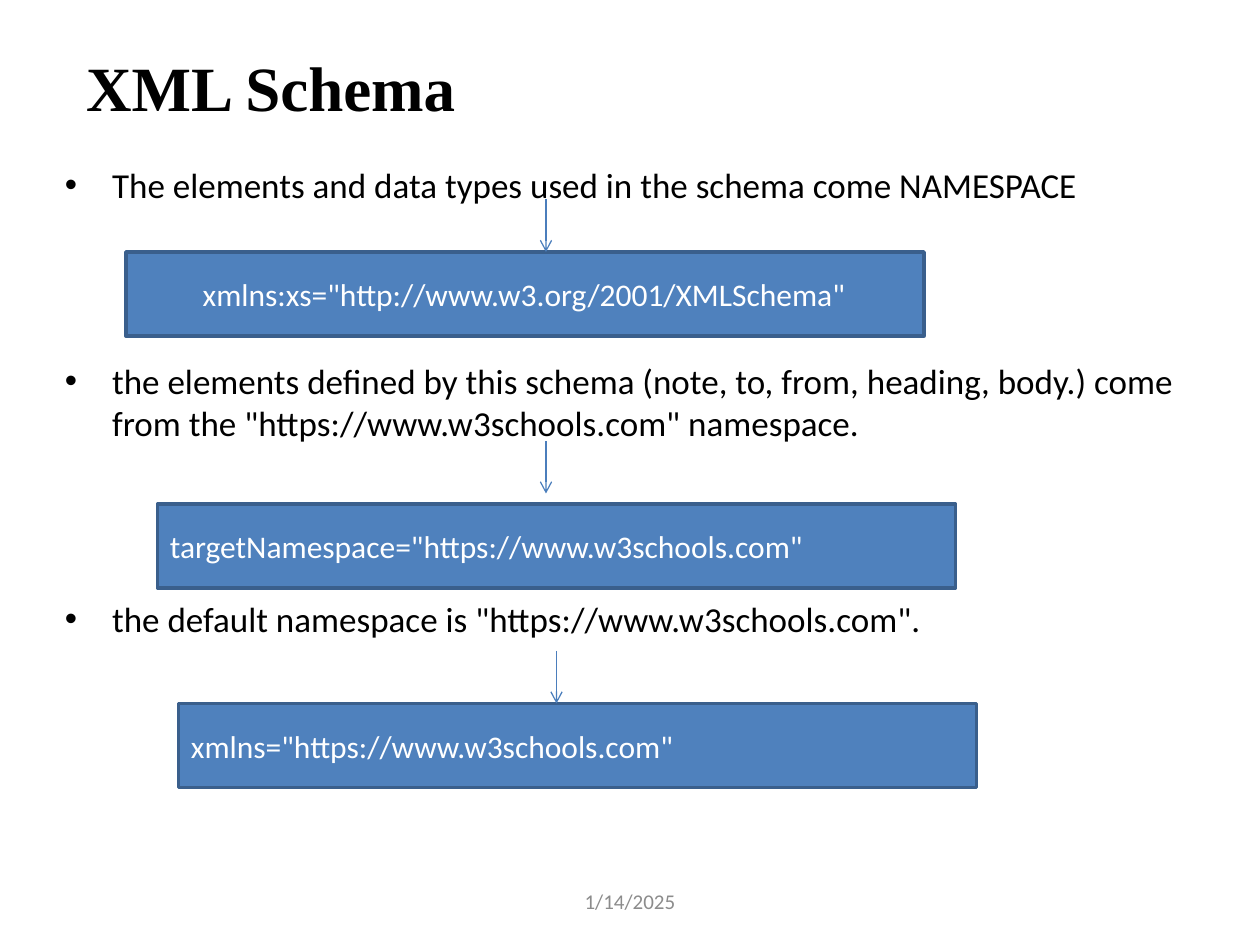
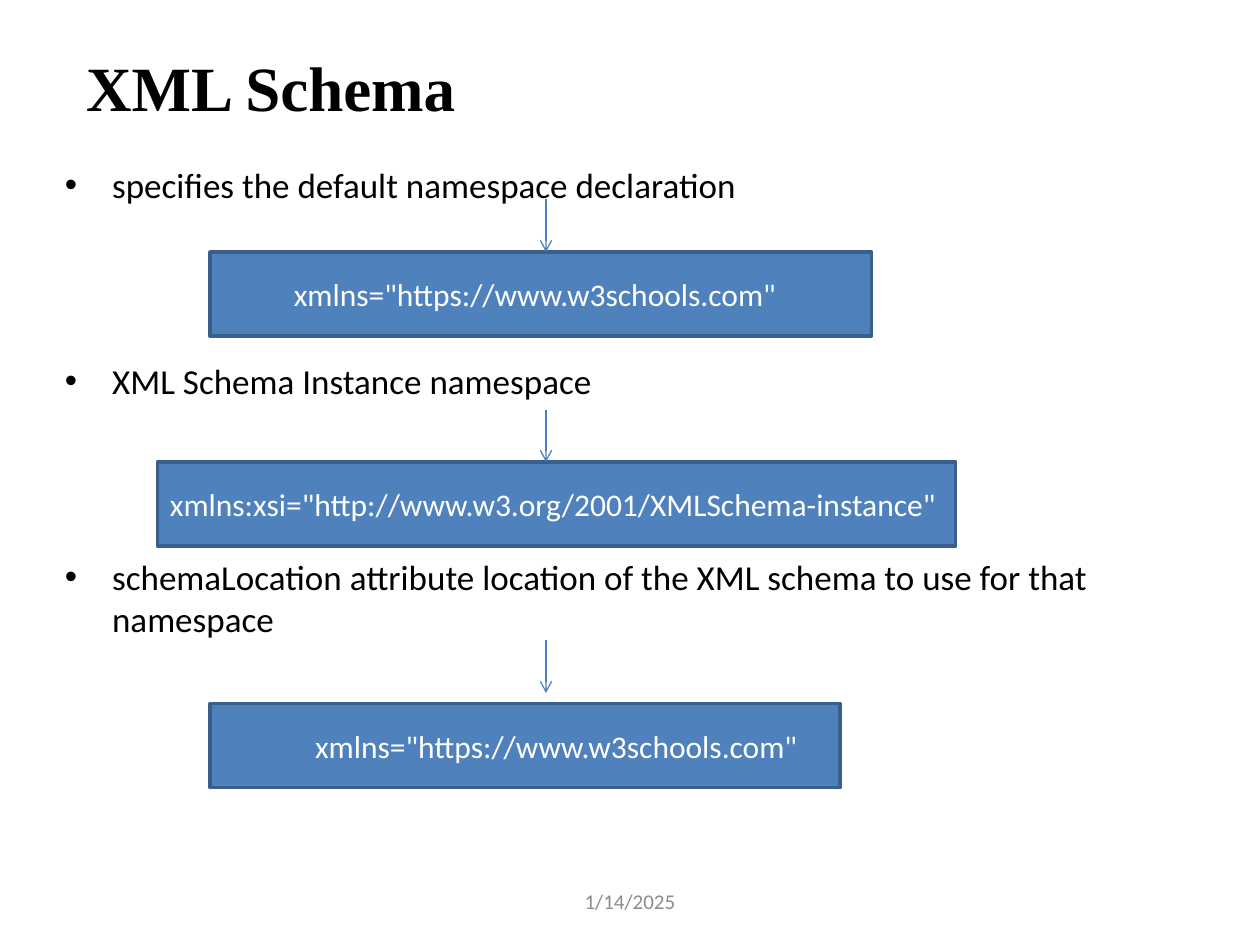
from lxml import etree
from pptx import Presentation
from pptx.dml.color import RGBColor
from pptx.enum.shapes import MSO_CONNECTOR, MSO_SHAPE
from pptx.enum.text import MSO_ANCHOR, MSO_AUTO_SIZE, PP_ALIGN
from pptx.oxml.ns import qn
from pptx.util import Pt

LEFT, CENTER = PP_ALIGN.LEFT, PP_ALIGN.CENTER
TOP, MIDDLE = MSO_ANCHOR.TOP, MSO_ANCHOR.MIDDLE
RECTANGLE, STRAIGHT = MSO_SHAPE.RECTANGLE, MSO_CONNECTOR.STRAIGHT
FIXED = MSO_AUTO_SIZE.NONE
TITLE_ONLY = 5

COLORS = {
    "text": "000000",
    "date": "8C8C8C",
    "code": "FFFFFF",
    "box": "4F81BD",
    "border": "3A5F8C",
    "arrow": "4B7EBC",
}
BODY_FONT, TITLE_FONT = "Calibri", "Times New Roman"
BULLET_INDENT = 27
POINT_GAP = 88
BOX_HEIGHT = 48
ARROW_LENGTH = 30
INSET = 7.2


def color(name):
    return RGBColor.from_string(COLORS[name])


def write(frame, *texts, size=20, font=BODY_FONT, ink="text", bold=False,
          align=LEFT, anchor=TOP, wrap=True, bullet=False, gap=0):
    frame.auto_size = FIXED
    frame.word_wrap = wrap
    frame.vertical_anchor = anchor
    for index, text in enumerate(texts):
        paragraph = frame.add_paragraph() if index else frame.paragraphs[0]
        paragraph.text = text
        if bullet:
            properties = paragraph._p.get_or_add_pPr()
            properties.set("marL", str(Pt(BULLET_INDENT)))
            properties.set("indent", str(-Pt(BULLET_INDENT)))
            etree.SubElement(properties, qn("a:buFont"), typeface="Arial")
            etree.SubElement(properties, qn("a:buChar"), char="•")
        paragraph.alignment = align
        paragraph.space_before = Pt(gap if index else 0)
        paragraph.font.size = Pt(size)
        paragraph.font.name = font
        paragraph.font.bold = bold
        paragraph.font.color.rgb = color(ink)


class Deck:
    def __init__(self):
        self.presentation = Presentation()
        self.presentation.slide_width = Pt(720)
        self.presentation.slide_height = Pt(540)
        self.slide = None

    def start(self, heading, date):
        layout = self.presentation.slide_layouts[TITLE_ONLY]
        self.slide = self.presentation.slides.add_slide(layout)
        title = self.slide.shapes.title
        title.left, title.top = Pt(42), Pt(24)
        title.width, title.height = Pt(227.5), Pt(51)
        write(title.text_frame, heading, size=36, font=TITLE_FONT,
              bold=True, wrap=False)
        self.text(246, 500.5, 228, 28.75, date, size=12, ink="date",
                  align=CENTER, anchor=MIDDLE)

    def text(self, left, top, width, height, *texts, **style):
        box = self.slide.shapes.add_textbox(
            Pt(left), Pt(top), Pt(width), Pt(height))
        write(box.text_frame, *texts, **style)

    def points(self, *texts):
        self.text(30, 90, 648, 356.5, *texts, bullet=True, gap=POINT_GAP)

    def code_box(self, left, top, width, code, indent=0):
        box = self.slide.shapes.add_shape(
            RECTANGLE, Pt(left), Pt(top), Pt(width), Pt(BOX_HEIGHT))
        box.shadow.inherit = False
        box.fill.solid()
        box.fill.fore_color.rgb = color("box")
        box.line.color.rgb = color("border")
        box.line.width = Pt(2)
        box.text_frame.margin_left = Pt(INSET + indent)
        write(box.text_frame, code, size=18, ink="code", anchor=MIDDLE)

    def arrow(self, x, top):
        arrow = self.slide.shapes.add_connector(
            STRAIGHT, Pt(x), Pt(top), Pt(x), Pt(top + ARROW_LENGTH))
        arrow.line.color.rgb = color("arrow")
        arrow.line.width = Pt(0.75)
        properties = arrow.element.spPr
        etree.SubElement(properties.find(qn("a:ln")), qn("a:tailEnd"), type="arrow")
        etree.SubElement(properties, qn("a:effectLst"))


DEFAULT_NAMESPACE = 'xmlns="https://www.w3schools.com"'

SLIDES = [
    {
        "points": [
            "The elements and data types used in the schema come NAMESPACE",
            "the elements defined by this schema (note, to, from, heading, body.) "
            'come from the "https://www.w3schools.com" namespace.',
            'the default namespace is "https://www.w3schools.com".',
        ],
        "arrows": [(312, 114), (312, 252), (318, 372)],
        "boxes": [
            (72, 144, 456, 'xmlns:xs="http://www.w3.org/2001/XMLSchema"', 36.6),
            (90, 288, 456, 'targetNamespace="https://www.w3schools.com"'),
            (102, 402, 456, DEFAULT_NAMESPACE),
        ],
    },
    {
        "points": [
            "specifies the default namespace declaration",
            "XML Schema Instance namespace",
            "schemaLocation attribute location of the XML schema to use "
            "for that namespace",
        ],
        "arrows": [(312, 114), (312, 234), (312, 366)],
        "boxes": [
            (120, 144, 378, DEFAULT_NAMESPACE, 40.7),
            (90, 264, 456,
             'xmlns:xsi="http://www.w3.org/2001/XMLSchema-instance"'),
            (120, 402, 360, DEFAULT_NAMESPACE, 52.9),
        ],
    },
]


def main():
    deck = Deck()
    for content in SLIDES:
        deck.start("XML Schema", "1/14/2025")
        deck.points(*content["points"])
        for box in content["boxes"]:
            deck.code_box(*box)
        for arrow in content["arrows"]:
            deck.arrow(*arrow)
    deck.presentation.save("out.pptx")


if __name__ == "__main__":
    main()
